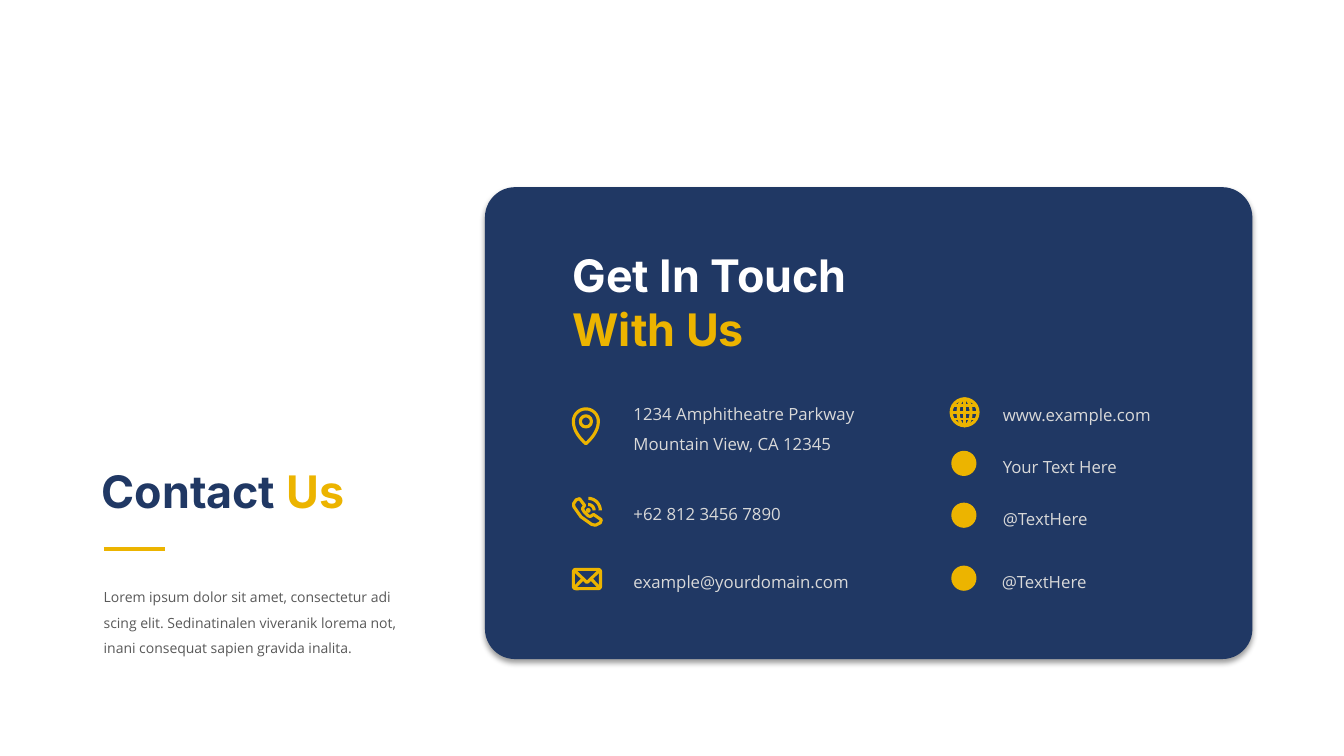
"""Build the contact slide with its get-in-touch card."""
import math

from lxml import etree
from pptx import Presentation
from pptx import util as u
from pptx.dml import color
from pptx.enum import shapes, text
from pptx.oxml import ns

NAVY, GOLD, WHITE, PALE, GREY = "203864", "ECB400", "FFFFFF", "D9D9D9", "595959"
STROKE = 2.25


def rgb(hex_code):
    """Return the colour for a hex string."""
    return color.RGBColor.from_string(hex_code)


def place(item, left, top, width, height):
    """Move and size an item, in points."""
    item.left, item.top = u.Pt(left), u.Pt(top)
    item.width, item.height = u.Pt(width), u.Pt(height)


def write(box, runs, size, font, bold=False, spacing=1.0):
    """Write paragraphs, each a list of (text, colour) runs, into a box."""
    frame = box.text_frame
    frame.word_wrap = True
    frame.auto_size = text.MSO_AUTO_SIZE.SHAPE_TO_FIT_TEXT
    frame.vertical_anchor = text.MSO_ANCHOR.TOP
    for index, pieces in enumerate(runs):
        paragraph = frame.add_paragraph() if index else frame.paragraphs[0]
        paragraph.alignment = text.PP_ALIGN.LEFT
        paragraph.line_spacing = spacing
        for words, hex_code in pieces:
            run = paragraph.add_run()
            run.text = words
            run.font.size, run.font.name, run.font.bold = u.Pt(size), font, bold
            run.font.color.rgb = rgb(hex_code)


def add_text(slide, frame, runs, size, font, **style):
    """Add a text box with the given frame and runs."""
    box = slide.shapes.add_textbox(*map(u.Pt, frame))
    write(box, runs, size, font, **style)


def add_preset(slide, kind, frame, fill=None, line=None):
    """Add a preset shape with an optional fill and outline."""
    preset = slide.shapes.add_shape(kind, *map(u.Pt, frame))
    paint(preset, fill, line)
    return preset


def paint(item, fill, line):
    """Set fill and outline of a shape and remove its shadow."""
    item.shadow.inherit = False
    if fill:
        item.fill.solid()
        item.fill.fore_color.rgb = rgb(fill)
    else:
        item.fill.background()
    if line:
        item.line.color.rgb = rgb(line)
        item.line.width = u.Pt(STROKE)
    else:
        item.line.fill.background()


def add_circle(slide, x, y, rx, ry=None, fill=None, line=GOLD):
    """Add an ellipse around a centre."""
    ry = ry or rx
    add_preset(slide, shapes.MSO_SHAPE.OVAL, (x - rx, y - ry, 2 * rx, 2 * ry), fill, line)


def add_stroke(slide, points, close=False):
    """Add a gold outline through points."""
    scaled = [(x * 100, y * 100) for x, y in points]
    builder = slide.shapes.build_freeform(*scaled[0], scale=u.Pt(1) / 100)
    builder.add_line_segments(scaled[1:], close=close)
    paint(builder.convert_to_shape(), None, GOLD)


def add_rule(slide, start, end, width):
    """Add a straight gold line."""
    rule = slide.shapes.add_connector(
        shapes.MSO_CONNECTOR.STRAIGHT, *map(u.Pt, start + end))
    rule.line.color.rgb = rgb(GOLD)
    rule.line.width = u.Pt(width)
    etree.SubElement(rule.element.spPr, ns.qn("a:effectLst"))


def arc(x, y, radius, start, end):
    """Return points along an arc, with angles in degrees."""
    angles = [math.radians(start + (end - start) * i / 24) for i in range(25)]
    return [(x + radius * math.cos(a), y + radius * math.sin(a)) for a in angles]


def add_card(slide):
    """Add the navy card with its soft shadow."""
    card = add_preset(slide, shapes.MSO_SHAPE.ROUNDED_RECTANGLE,
                      (346.4, 133.7, 548.2, 337.1), NAVY)
    card.adjustments[0] = 0.064
    effects = card.element.spPr.find(ns.qn("a:effectLst"))
    shadow = etree.SubElement(effects, ns.qn("a:outerShdw"), blurRad=str(u.Pt(4)),
                              dist=str(u.Pt(3)), dir="5400000", algn="t", rotWithShape="0")
    black = etree.SubElement(shadow, ns.qn("a:srgbClr"), val="000000")
    etree.SubElement(black, ns.qn("a:alpha"), val="40000")


def add_pin(slide, x, y):
    """Add a map pin around the centre of its head."""
    radius, drop = 8.9, 16
    steps = [i / 12 for i in range(1, 13)]
    right = [(radius * (1 - t * t), 16 * t * (1 - t) + drop * t * t) for t in steps]
    left = [(-dx, dy) for dx, dy in reversed(right[:-1])]
    tail = [(x + dx, y + dy) for dx, dy in right + left]
    add_stroke(slide, arc(x, y, radius, 180, 360) + tail, close=True)
    add_circle(slide, x, y, 4)


def add_phone(slide, x, y):
    """Add a handset with two sound waves around their centre."""
    handset = [(-6.2, -8.4), (-2.6, -3.6), (-4.2, -1.2), (-3, 0.9), (0, 3.9),
               (1.4, 4.4), (3.8, 2.9), (9.3, 6.7), (8.6, 8.9), (5, 10.6),
               (2.4, 10), (-5.2, 4.6), (-10.3, -2.6), (-10.5, -4.8), (-8.7, -7.5)]
    add_stroke(slide, [(x + dx, y + dy) for dx, dy in handset], close=True)
    for radius in (4.2, 8.6):
        add_stroke(slide, arc(x, y, radius, -90, 0))
    add_circle(slide, x, y, 1.7, fill=GOLD, line=None)


def add_envelope(slide, x, y):
    """Add an envelope around its centre."""
    half_width, half_height = 9.7, 6.9
    body = add_preset(slide, shapes.MSO_SHAPE.ROUNDED_RECTANGLE,
                      (x - half_width, y - half_height, 2 * half_width, 2 * half_height),
                      line=GOLD)
    body.adjustments[0] = 0.12
    add_stroke(slide, [(x - 9, y - 6.2), (x, y + 2.5), (x + 9, y - 6.2)])
    for side in (-1, 1):
        add_stroke(slide, [(x + side * 9, y + 6.2), (x + side * 3, y)])


def add_globe(slide, x, y):
    """Add a globe with its grid around its centre."""
    add_circle(slide, x, y, 9.6)
    add_circle(slide, x, y, 4.6, 9.6)
    for dy, half in ((-4.8, 8), (0, 9.6), (4.8, 8)):
        add_rule(slide, (x - half, y + dy), (x + half, y + dy), 1.75)
    add_rule(slide, (x, y - 9.6), (x, y + 9.6), 1.75)


def main():
    """Build and save the slide."""
    deck = Presentation()
    deck.slide_width, deck.slide_height = u.Pt(960), u.Pt(540)
    slide = deck.slides.add_slide(deck.slide_layouts[5])

    heading = slide.shapes.title
    place(heading, 65.3, 327.8, 225.4, 46.1)
    write(heading, [[("Contact ", NAVY), ("Us", GOLD)]], 32, "Inter", bold=True)
    add_rule(slide, (74.2, 392.4), (118.1, 392.4), 3)
    intro = ("Lorem ipsum dolor sit amet, consectetur adi scing elit. Sedinatinalen "
             "viveranik lorema not, inani consequat sapien gravida inalita.")
    add_text(slide, (67, 411.1, 225.4, 59.8), [[(intro, GREY)]], 10, "Open Sans", spacing=1.5)

    add_card(slide)
    add_text(slide, (401.8, 173.5, 267.8, 85), [[("Get In Touch ", WHITE), ("With Us", GOLD)]],
             32, "Inter", bold=True)
    contacts = [
        (445.4, 277.5, 180.7, ["1234 Amphitheatre Parkway", "Mountain View, CA 12345"]),
        (445.4, 349, 180, ["+62 812 3456 7890"]),
        (445.4, 397.8, 180, ["example@yourdomain.com"]),
        (709.2, 278.3, 130.3, ["www.example.com"]),
        (709.2, 315.7, 110.9, ["Your Text Here"]),
        (709.2, 352.8, 110.9, ["@TextHere"]),
        (708.5, 397.8, 110.9, ["@TextHere"]),
    ]
    for left, top, width, lines in contacts:
        add_text(slide, (left, top, width, 27 * len(lines)),
                 [[(line, PALE)] for line in lines], 12, "Open Sans", spacing=1.5)

    add_pin(slide, 418.5, 301)
    add_phone(slide, 420.2, 364.6)
    add_envelope(slide, 419.3, 413.6)
    add_globe(slide, 689, 294.5)
    for y in (331, 368, 413):
        add_circle(slide, 688.5, y, 9, fill=GOLD, line=None)
    deck.save("out.pptx")


if __name__ == "__main__":
    main()
